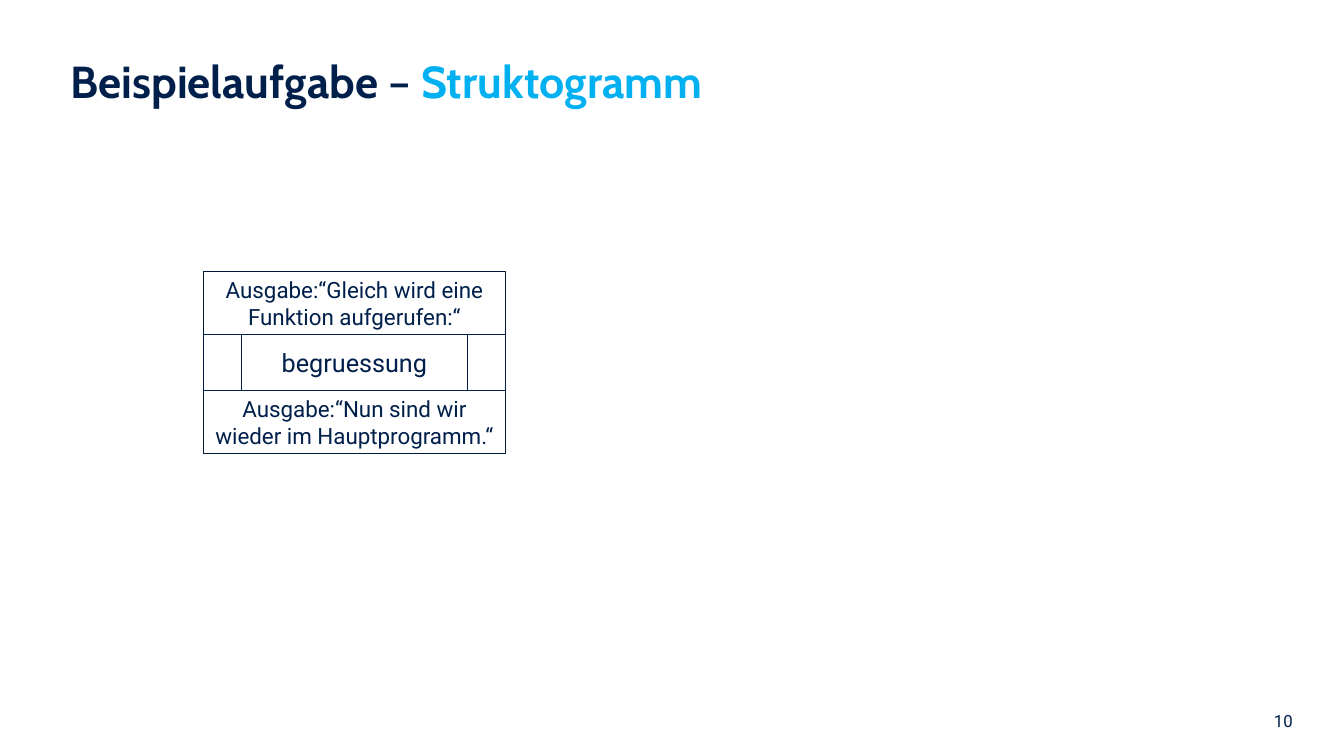
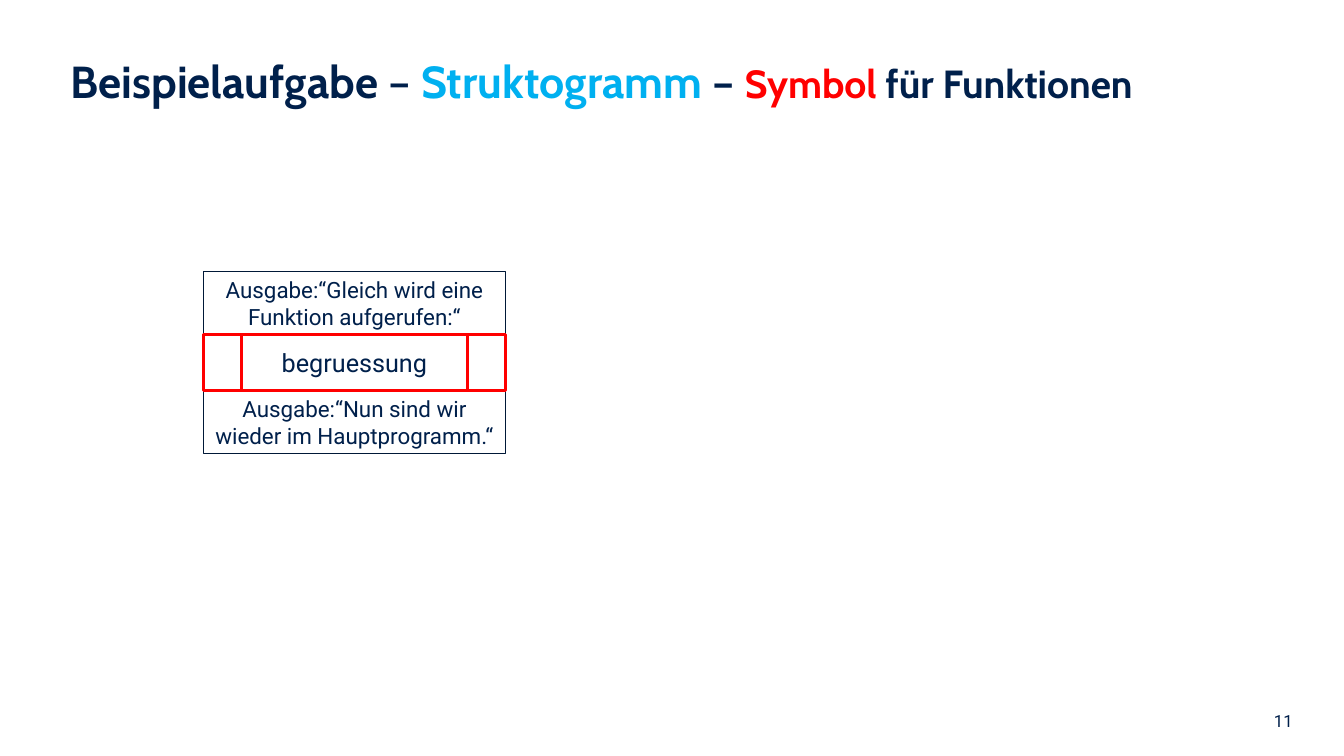
from dataclasses import dataclass

from pptx import Presentation
from pptx import util as u
from pptx.dml.color import RGBColor
from pptx.enum import shapes, text


@dataclass(frozen=True)
class Theme:
    navy: str = "00204B"
    border: str = "001837"
    cyan: str = "00B0F0"
    red: str = "FF0000"
    white: str = "FFFFFF"
    heading: str = "Cabin"
    body: str = "Roboto"
    title_size: int = 32
    subtitle_size: int = 28
    call_size: int = 18
    step_size: int = 16
    page_size: int = 12
    thin: float = 0.85
    thick: float = 2.25


T = Theme()


def add_text(p, content, size, font=T.body, color=T.navy, bold=False, align=None):
    r = p.add_run()
    r.text = content
    r.font.name = font
    r.font.size = u.Pt(size)
    r.font.bold = bold
    r.font.color.rgb = RGBColor.from_string(color)
    if align is not None:
        p.alignment = align


class Deck:
    """Holds the presentation, its style and the current slide."""

    def __init__(self):
        self.prs = Presentation()
        self.prs.slide_width = u.Inches(13.33)
        self.prs.slide_height = u.Inches(7.5)

    def new_slide(self, title_runs, number):
        self.s = self.prs.slides.add_slide(self.prs.slide_layouts[5])
        self.title(title_runs)
        self.page_number(number)

    def title(self, runs):
        sp = self.s.shapes.title
        sp.left, sp.top = u.Inches(0.6), u.Inches(0.48)
        sp.width, sp.height = u.Inches(12.18), u.Inches(0.79)
        tf = sp.text_frame
        tf.auto_size = text.MSO_AUTO_SIZE.NONE
        tf.vertical_anchor = text.MSO_ANCHOR.TOP
        for content, style in runs:
            style = {"size": T.title_size, "bold": True, **style}
            add_text(tf.paragraphs[0], content, font=T.heading,
                     align=text.PP_ALIGN.LEFT, **style)

    def page_number(self, number):
        sp = self.s.shapes.add_textbox(
            u.Inches(8.45), u.Inches(7), u.Inches(4.47), u.Inches(0.37))
        tf = sp.text_frame
        tf.word_wrap = True
        add_text(tf.paragraphs[0], str(number), T.page_size,
                 align=text.PP_ALIGN.RIGHT)

    def block(self, kind, top, height, content, size, line, weight, fill=None):
        sp = self.s.shapes.add_shape(
            kind, u.Inches(2.02), u.Inches(top), u.Inches(2.99), u.Inches(height))
        sp.shadow.inherit = False
        if fill:
            sp.fill.solid()
            sp.fill.fore_color.rgb = RGBColor.from_string(fill)
        else:
            sp.fill.background()
        sp.line.color.rgb = RGBColor.from_string(line)
        sp.line.width = u.Pt(weight)
        tf = sp.text_frame
        tf.word_wrap = True
        tf.margin_left = tf.margin_right = u.Inches(0.08)
        tf.vertical_anchor = text.MSO_ANCHOR.MIDDLE
        add_text(tf.paragraphs[0], content, size, align=text.PP_ALIGN.CENTER)

    def structogram(self, before, call, after, call_line, call_weight):
        top, step_height, call_height = 2.69, 0.63, 0.55
        call_top = top + step_height
        for y, content in ((top, before), (call_top + call_height, after)):
            self.block(shapes.MSO_SHAPE.RECTANGLE, y, step_height, content,
                       T.step_size, T.border, T.thin)
        self.block(shapes.MSO_SHAPE.FLOWCHART_PREDEFINED_PROCESS, call_top,
                   call_height, call, T.call_size, call_line, call_weight, T.white)


def main():
    deck = Deck()
    base_title = [("Beispielaufgabe ", {}), ("– ", {"bold": False}),
                  ("Struktogramm", {"color": T.cyan})]
    symbol_title = [(" – ", {}),
                    ("Symbol", {"size": T.subtitle_size, "color": T.red}),
                    (" für Funktionen", {"size": T.subtitle_size})]
    slides = [(base_title, T.navy, T.thin),
              (base_title + symbol_title, T.red, T.thick)]
    for number, (title, line, weight) in enumerate(slides, start=10):
        deck.new_slide(title, number)
        deck.structogram("Ausgabe:“Gleich wird eine Funktion aufgerufen:“",
                         "begruessung",
                         "Ausgabe:“Nun sind wir wieder im Hauptprogramm.“",
                         line, weight)
    deck.prs.save("out.pptx")


if __name__ == "__main__":
    main()
